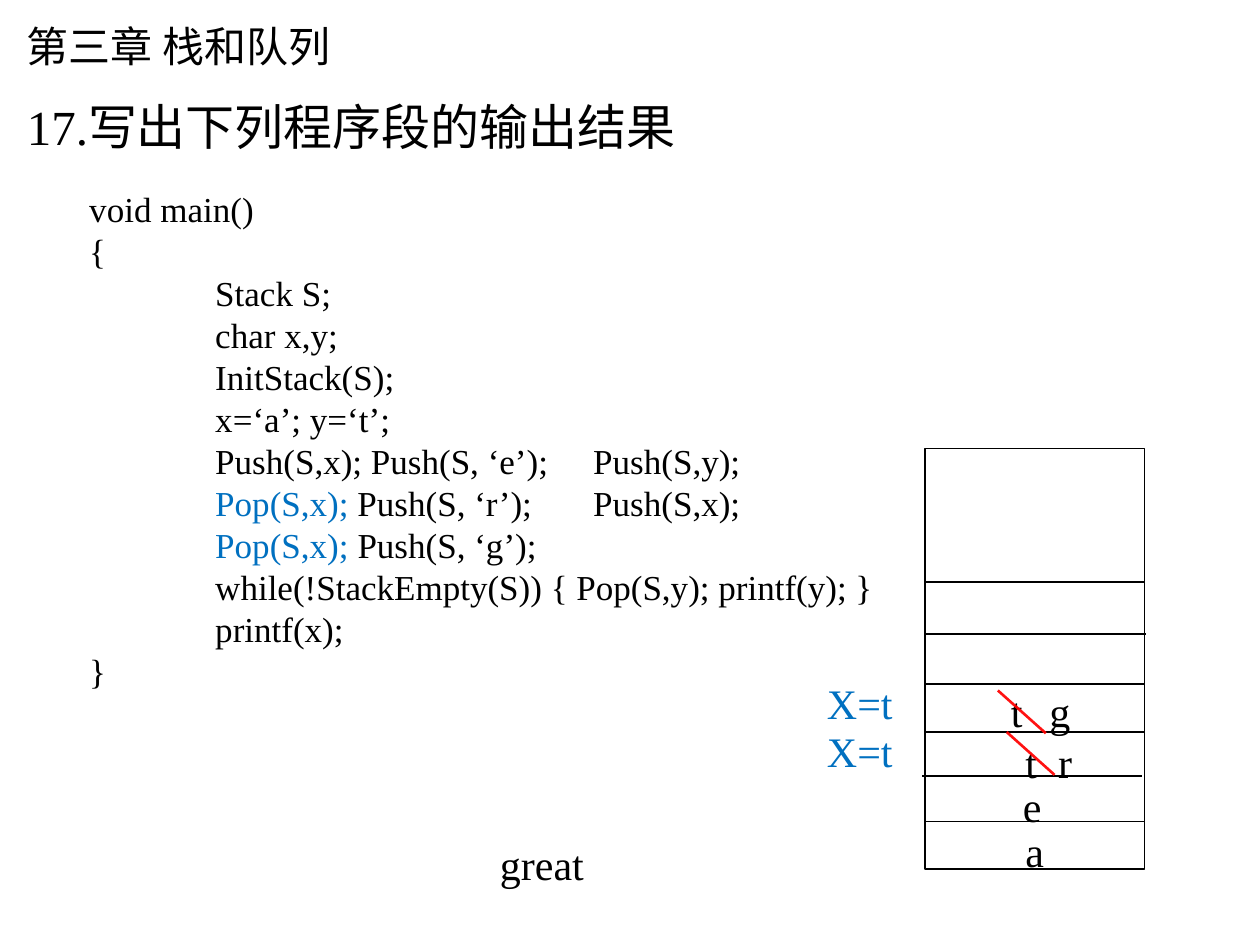
import collections

import lxml.etree
import pptx
import pptx.dml.color
import pptx.enum.shapes
import pptx.enum.text
import pptx.oxml.ns
import pptx.util

COLORS = {"ink": "000000", "paper": "FFFFFF", "pop": "0070C0", "strike": "FF0000"}
FONT = "Times New Roman"
COLS, ROWS = 100, 75
CELL = pptx.util.Inches(0.1)
LABEL_W, LABEL_H = 19.6, 5
CODE_TABS = (10, 40)

Box = collections.namedtuple("Box", "x y w h")

CODE = [
    [("void main()", "ink")],
    [("{", "ink")],
    [("\tStack S;", "ink")],
    [("\tchar x,y;", "ink")],
    [("\tInitStack(S);", "ink")],
    [("\tx=‘a’; y=‘t’;", "ink")],
    [("\tPush(S,x); Push(S, ‘e’); \tPush(S,y);", "ink")],
    [("\tPop(S,x);", "pop"), (" Push(S, ‘r’); \tPush(S,x);", "ink")],
    [("\tPop(S,x); ", "pop"), ("Push(S, ‘g’);", "ink")],
    [("\twhile(!StackEmpty(S)) { Pop(S,y); printf(y); }", "ink")],
    [("\tprintf(x);", "ink")],
    [("}", "ink")],
]
DIVIDERS = [(0, 29.6), (-0.2, 26), (0, 22.5), (0, 18.7), (0.1, 14.7), (0, 10.6)]
LETTERS = [("a", 7, 29.4), ("e", 6.8, 25.85), ("t", 7, 22.35),
           ("r", 9.6, 22.35), ("t", 5.85, 18.3), ("g", 8.9, 18.3)]
STRIKES = [(6.5, 22.5), (5.8, 19.2)]


def grid(*values):
    """Convert grid units to slide lengths."""
    return [round(v * CELL) for v in values]


def rgb(name):
    """Look up a named colour."""
    return pptx.dml.color.RGBColor.from_string(COLORS[name])


def set_tabs(p, stops):
    """Give a paragraph left tab stops, ahead of its default run properties."""
    qn = pptx.oxml.ns.qn
    tabs = lxml.etree.Element(qn("a:tabLst"))
    for pos in grid(*stops):
        lxml.etree.SubElement(tabs, qn("a:tab"), pos=str(pos), algn="l")
    p._p.pPr.find(qn("a:defRPr")).addprevious(tabs)


def add_text(s, box, lines, size, spacing=None, anchor="TOP", fit=False, stops=()):
    """Add a text box whose lines are lists of (text, colour) runs."""
    tf = s.shapes.add_textbox(*grid(*box)).text_frame
    tf.word_wrap = True
    tf.vertical_anchor = getattr(pptx.enum.text.MSO_ANCHOR, anchor)
    if fit:
        tf.auto_size = pptx.enum.text.MSO_AUTO_SIZE.SHAPE_TO_FIT_TEXT
    for i, runs in enumerate(lines):
        p = tf.paragraphs[0] if i == 0 else tf.add_paragraph()
        p.font.name, p.font.size = FONT, pptx.util.Pt(size)
        p.line_spacing = spacing
        if stops:
            set_tabs(p, stops)
        for text, color in runs:
            r = p.add_run()
            r.text = text
            r.font.color.rgb = rgb(color)


def add_label(s, x, y, text, color="ink", w=LABEL_W):
    """Add a short one-line label."""
    add_text(s, Box(x, y, w, LABEL_H), [[(text, color)]], 24, fit=True)


def add_line(s, x, y, dx, dy, color, width, alpha=None):
    """Add a shadowless straight line."""
    ln = s.shapes.add_connector(pptx.enum.shapes.MSO_CONNECTOR.STRAIGHT,
                                *grid(x, y, x + dx, y + dy))
    ln.line.color.rgb = rgb(color)
    ln.line.width = pptx.util.Pt(width)
    qn = pptx.oxml.ns.qn
    sp_pr = ln._element.spPr
    if alpha is not None:
        clr = sp_pr.find(".//" + qn("a:srgbClr"))
        lxml.etree.SubElement(clr, qn("a:alpha"), val=str(alpha * 1000))
    lxml.etree.SubElement(sp_pr, qn("a:effectLst"))


def add_headings(s, box):
    """Add the chapter title and the exercise question."""
    add_text(s, Box(box.x, box.y, 86.2, 14.5), [[("第三章 栈和队列", "ink")]],
             24, spacing=0.9, anchor="MIDDLE")
    add_text(s, Box(box.x, box.y + 11.1, box.w, box.h - 11.1),
             [[("17.写出下列程序段的输出结果", "ink")]], 28, spacing=0.9)


def add_code(s, box):
    """Add the program listing."""
    add_text(s, box, CODE, 20, spacing=pptx.util.Pt(24), stops=CODE_TABS)


def add_stack(s, box):
    """Draw the stack with its dividers, letters and struck-out entries."""
    sp = s.shapes.add_shape(pptx.enum.shapes.MSO_SHAPE.RECTANGLE, *grid(*box))
    sp.shadow.inherit = False
    sp.fill.solid()
    sp.fill.fore_color.rgb = rgb("paper")
    sp.line.color.rgb = rgb("ink")
    sp.line.width = pptx.util.Pt(1)
    for dx, dy in DIVIDERS:
        add_line(s, box.x + dx, box.y + dy, box.w, 0, "ink", 1)
    for text, dx, dy in LETTERS:
        add_label(s, box.x + dx, box.y + dy, text)
    for dx, dy in STRIKES:
        add_line(s, box.x + dx, box.y + dy, 3.8, 3.4, "strike", 1.5, alpha=93)


def add_results(s, box):
    """Add the popped values and the program output."""
    for row in range(2):
        add_label(s, box.x + 25.95, box.y + 3.8 * row, "X=t", "pop", w=8.7)
    add_label(s, box.x, box.y + 12.75, "great")


def main():
    """Build and save the slide."""
    prs = pptx.Presentation()
    prs.slide_width, prs.slide_height = COLS * CELL, ROWS * CELL
    s = prs.slides.add_slide(prs.slide_layouts[6])
    add_headings(s, Box(1.15, -3.4, 97.1, 75.9))
    add_code(s, Box(6.1, 14.4, 89.2, 44.8))
    add_stack(s, Box(73.4, 35.6, 17.45, 33.4))
    add_results(s, Box(38.7, 53.3, 34.7, 17.8))
    prs.save("out.pptx")


if __name__ == "__main__":
    main()
